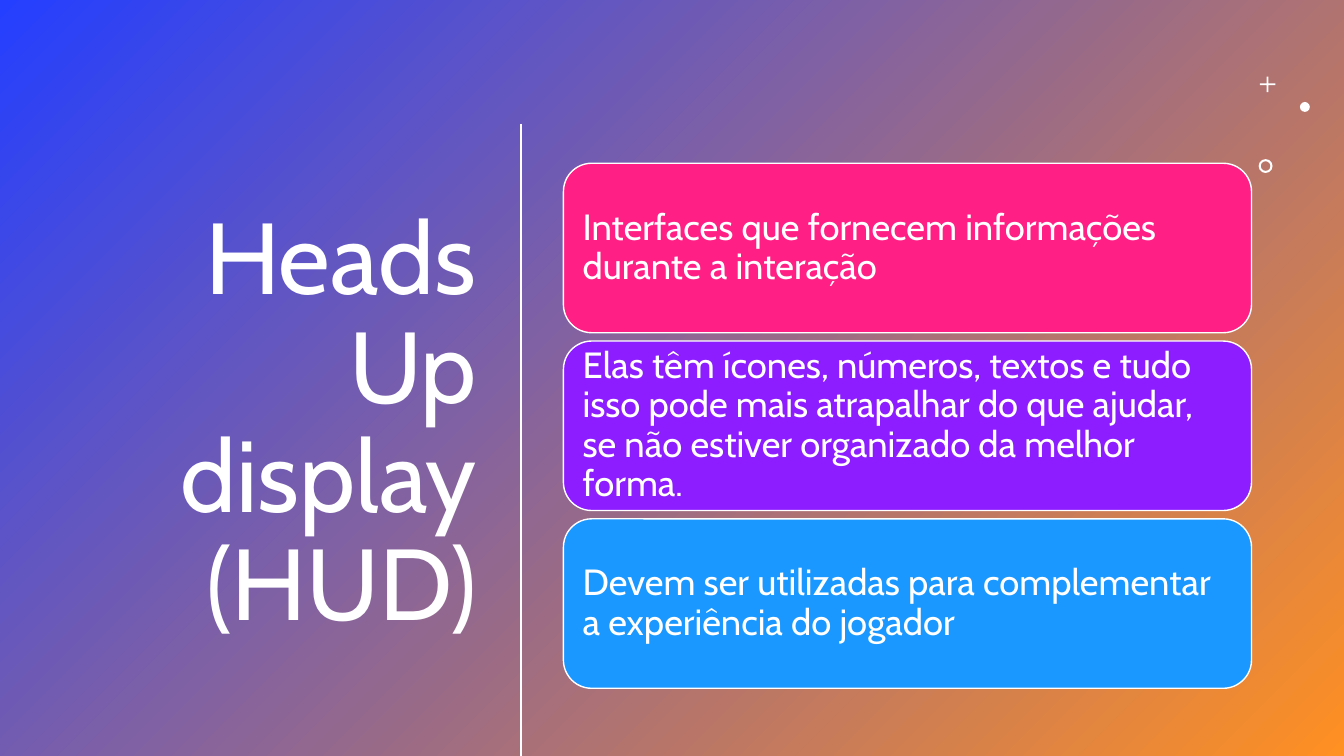
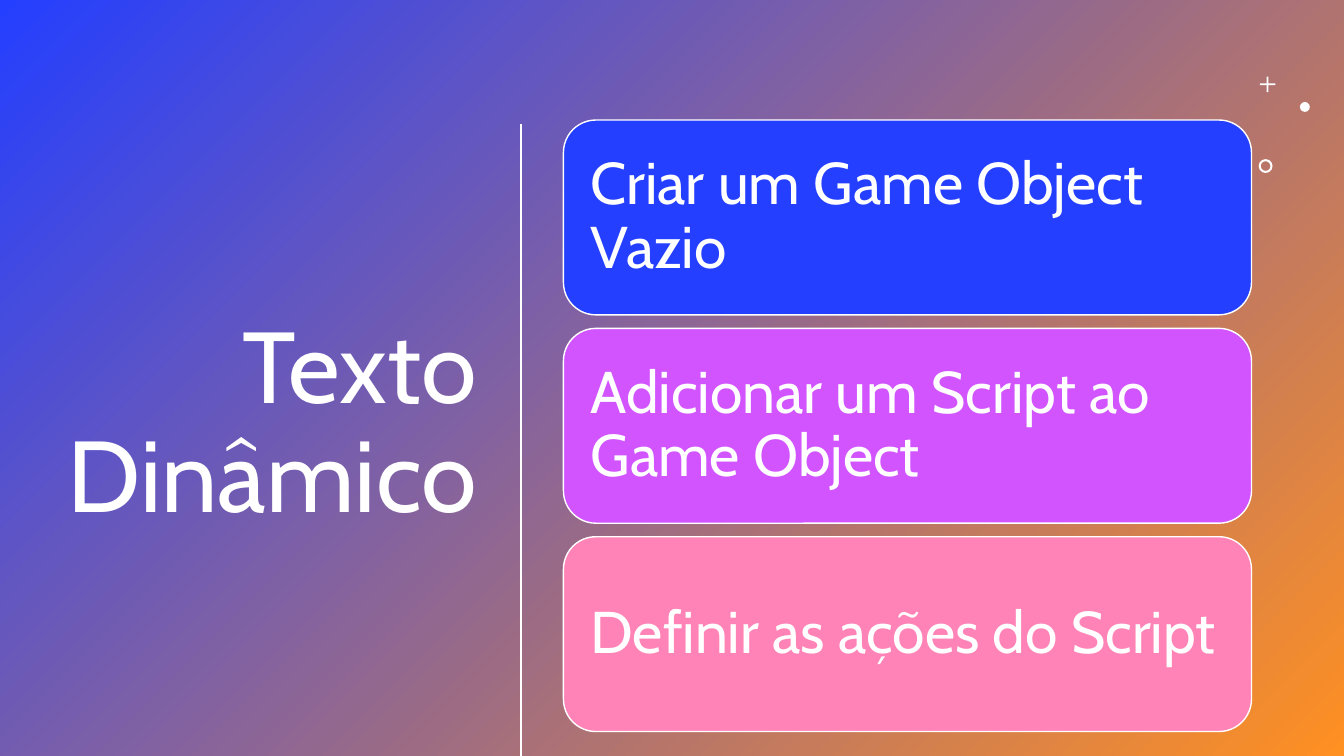
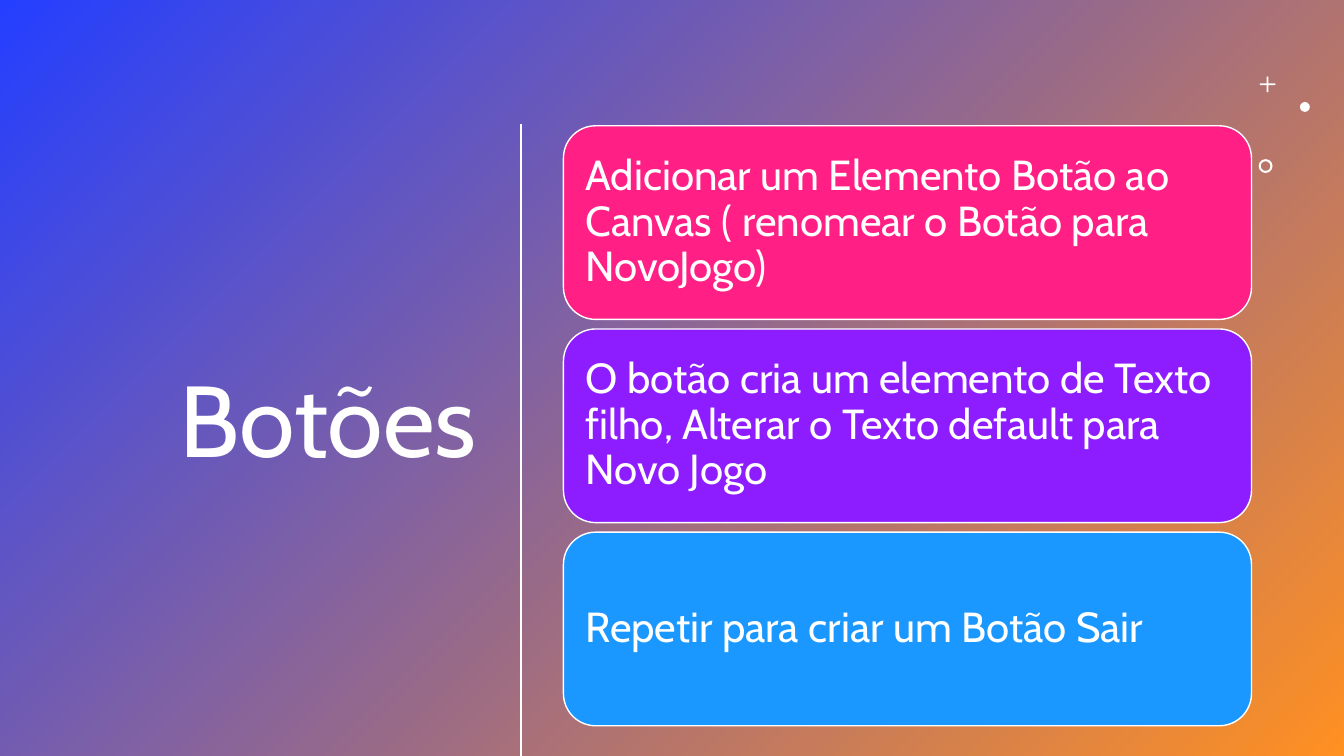
from lxml.etree import SubElement
from pptx import Presentation
from pptx.dml.color import RGBColor
from pptx.enum.shapes import MSO_CONNECTOR, MSO_SHAPE
from pptx.enum.text import MSO_ANCHOR, PP_ALIGN
from pptx.oxml.ns import qn
from pptx.util import Cm, Pt

WHITE = RGBColor(0xFF, 0xFF, 0xFF)
BLUE = RGBColor(0x24, 0x3F, 0xFF)
ORANGE = RGBColor(0xFF, 0x90, 0x22)
PINK = RGBColor(0xFF, 0x1F, 0x85)
PURPLE = RGBColor(0x8D, 0x1D, 0xFF)
SKY = RGBColor(0x1A, 0x98, 0xFF)
ORCHID = RGBColor(0xD1, 0x54, 0xFF)
ROSE = RGBColor(0xFF, 0x83, 0xB6)

FONT = "Cabin"
SLIDE_WIDTH, SLIDE_HEIGHT = 33.87, 19.05
CARD_LEFT, CARD_WIDTH, CARDS_MIDDLE = 14.2, 17.34, 10.73

SLIDES = [
    {
        "title": "Heads Up display (HUD)",
        "size": 26, "height": 4.27, "gap": 0.21,
        "cards": [
            ("Interfaces que fornecem informações durante a interação", PINK),
            ("Elas têm ícones, números, textos e tudo isso pode mais atrapalhar "
             "do que ajudar, se não estiver organizado da melhor forma.", PURPLE),
            ("Devem ser utilizadas para complementar a experiência do jogador", SKY),
        ],
    },
    {
        "title": "Texto Dinâmico",
        "size": 42, "height": 4.91, "gap": 0.34,
        "cards": [
            ("Criar um Game Object Vazio", BLUE),
            ("Adicionar um Script ao Game Object", ORCHID),
            ("Definir as ações do Script", ROSE),
        ],
    },
    {
        "title": "Botões",
        "size": 30, "height": 4.88, "gap": 0.24,
        "cards": [
            ("Adicionar um Elemento Botão ao Canvas ( renomear o Botão para "
             "NovoJogo)", PINK),
            ("O botão cria um elemento de Texto filho, Alterar o Texto default "
             "para Novo Jogo", PURPLE),
            ("Repetir para criar um Botão Sair", SKY),
        ],
    },
]

ORNAMENTS = [
    (MSO_SHAPE.CROSS, 31.75, 1.93, 0.39, 0.44),
    (MSO_SHAPE.OVAL, 32.76, 2.57, 0.25, None),
    (MSO_SHAPE.DONUT, 31.72, 4.01, 0.35, 0.15),
]


def add_plain_shape(page, kind, left, top, width, height):
    shape = page.shapes.add_shape(kind, Cm(left), Cm(top), Cm(width), Cm(height))
    shape.shadow.inherit = False
    shape.line.fill.background()
    return shape


def write(shape, text, size, align):
    frame = shape.text_frame
    frame.word_wrap = True
    frame.vertical_anchor = MSO_ANCHOR.MIDDLE
    para = frame.paragraphs[0]
    para.text = text
    para.alignment = align
    para.line_spacing = 0.9
    para.font.name = FONT
    para.font.size = Pt(size)
    para.font.color.rgb = WHITE


def add_background(page):
    backdrop = add_plain_shape(page, MSO_SHAPE.RECTANGLE, 0, 0, SLIDE_WIDTH, SLIDE_HEIGHT)
    backdrop.fill.gradient()
    backdrop.fill.gradient_angle = 315
    for stop, position, color in zip(backdrop.fill.gradient_stops, (0, 1), (BLUE, ORANGE)):
        stop.position = position
        stop.color.rgb = color


def add_ornaments(page):
    for kind, left, top, side, adjustment in ORNAMENTS:
        ornament = add_plain_shape(page, kind, left, top, side, side)
        ornament.fill.solid()
        ornament.fill.fore_color.rgb = WHITE
        if adjustment is not None:
            ornament.adjustments[0] = adjustment


def add_divider(page):
    divider = page.shapes.add_connector(
        MSO_CONNECTOR.STRAIGHT, Cm(13.13), Cm(3.12), Cm(13.13), Cm(SLIDE_HEIGHT))
    divider.line.color.rgb = WHITE
    divider.line.width = Pt(2)
    SubElement(divider.line._get_or_add_ln().getparent(), qn("a:effectLst"))


def add_title(page, text):
    box = page.shapes.add_textbox(Cm(1.32), Cm(2.95), Cm(10.94), Cm(15.52))
    write(box, text, 72, PP_ALIGN.RIGHT)


def add_cards(page, cards, size, height, gap):
    step = height + gap
    first_top = CARDS_MIDDLE - (len(cards) * step - gap) / 2
    for index, (text, color) in enumerate(cards):
        card = add_plain_shape(page, MSO_SHAPE.ROUNDED_RECTANGLE, CARD_LEFT,
                               first_top + index * step, CARD_WIDTH, height)
        card.fill.solid()
        card.fill.fore_color.rgb = color
        card.line.color.rgb = WHITE
        card.line.width = Pt(1)
        write(card, text, size, PP_ALIGN.LEFT)
        frame = card.text_frame
        inset = Pt(0.3 * size)
        frame.margin_left = frame.margin_right = inset
        frame.margin_top = frame.margin_bottom = inset


def main():
    deck = Presentation()
    deck.slide_width, deck.slide_height = Cm(SLIDE_WIDTH), Cm(SLIDE_HEIGHT)
    for content in SLIDES:
        page = deck.slides.add_slide(deck.slide_layouts[6])
        add_background(page)
        add_title(page, content["title"])
        add_ornaments(page)
        add_divider(page)
        add_cards(page, content["cards"], content["size"], content["height"], content["gap"])
    deck.save("out.pptx")


if __name__ == "__main__":
    main()
